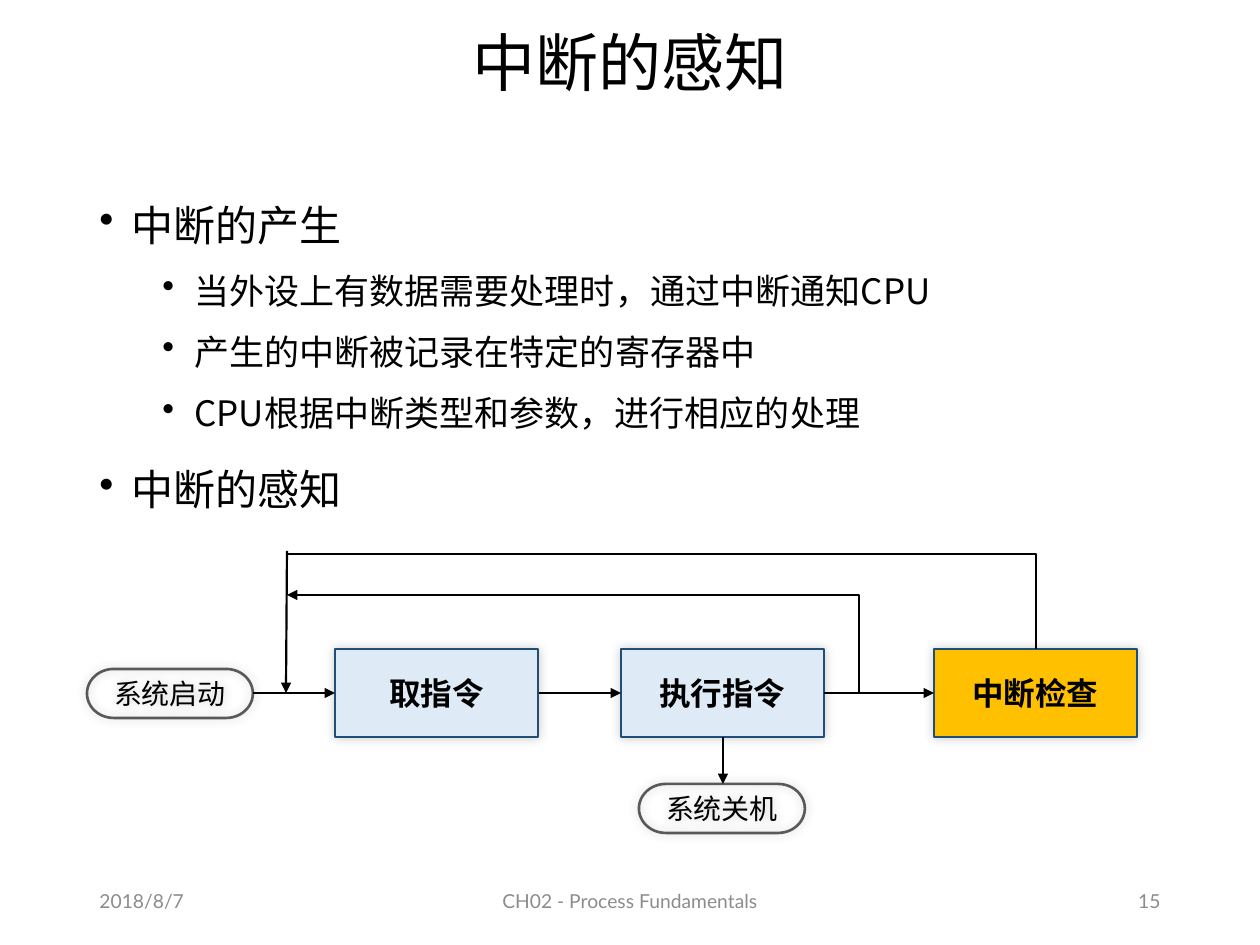
import pptx
import pptx.util
import pptx.dml.color
import pptx.enum.shapes
import pptx.enum.text
import pptx.oxml.ns
from dataclasses import dataclass
from lxml import etree

EMU_PER_PX = 914400 / 126
SHAPE = pptx.enum.shapes.MSO_SHAPE
CONNECTOR = pptx.enum.shapes.MSO_CONNECTOR
ALIGN = pptx.enum.text.PP_ALIGN
ANCHOR = pptx.enum.text.MSO_ANCHOR
qn = pptx.oxml.ns.qn


@dataclass(frozen=True)
class Theme:
    cjk: str = "Noto Sans CJK SC"
    latin: str = "Lato"
    ink: str = "000000"
    muted: str = "8C8C8C"
    outline: str = "595959"
    border: str = "1F4E79"
    step: str = "DEEBF7"
    check: str = "FFC000"
    title_size: int = 36
    topic_size: int = 24
    detail_size: int = 20
    step_size: int = 18
    end_size: int = 16
    footer_size: int = 11


def px(length):
    return pptx.util.Emu(round(length * EMU_PER_PX))


def rgb(code):
    return pptx.dml.color.RGBColor.from_string(code)


def child(parent, tag, **attributes):
    return etree.SubElement(parent, qn(tag), **attributes)


class SlideBuilder:
    def __init__(self, slide, theme):
        self.slide = slide
        self.theme = theme

    def style(self, paragraph, size, font=None, color=None, bold=False, align=ALIGN.LEFT):
        font = font or self.theme.cjk
        paragraph.alignment = align
        for run in paragraph.runs:
            run.font.size = pptx.util.Pt(size)
            run.font.bold = bold
            run.font.color.rgb = rgb(color or self.theme.ink)
            run.font.name = font
            child(run.font._element, "a:ea", typeface=font)

    def title(self, text, left, top, width, height):
        heading = self.slide.shapes.title
        heading.left, heading.top = px(left), px(top)
        heading.width, heading.height = px(width), px(height)
        frame = heading.text_frame
        frame.text = text
        frame.vertical_anchor = ANCHOR.MIDDLE
        frame.paragraphs[0].line_spacing = 0.9
        self.style(frame.paragraphs[0], self.theme.title_size, align=ALIGN.CENTER)

    def text_box(self, left, top, width, height):
        frame = self.slide.shapes.add_textbox(
            px(left), px(top), px(width), px(height)).text_frame
        frame.word_wrap = True
        return frame

    def outline(self, items, left, top, width, height):
        frame = self.text_box(left, top, width, height)
        for index, (level, text) in enumerate(items):
            paragraph = frame.add_paragraph() if index else frame.paragraphs[0]
            paragraph.text = text
            paragraph.level = level
            properties = paragraph._p.get_or_add_pPr()
            properties.set("marL", str(px(95 if level else 32)))
            properties.set("indent", str(px(-32)))
            child(properties, "a:buChar", char="•")
            paragraph.line_spacing = 1.25
            if index:
                paragraph.space_before = pptx.util.Pt(5 if level else 10)
            self.style(paragraph, self.theme.detail_size if level else self.theme.topic_size)

    def footer(self, text, left, width, align):
        frame = self.text_box(left, 876, width, 50)
        frame.vertical_anchor = ANCHOR.MIDDLE
        frame.text = text
        self.style(frame.paragraphs[0], self.theme.footer_size,
                   self.theme.latin, self.theme.muted, align=align)

    def node(self, kind, text, box, border, size, fill=None, bold=False):
        node = self.slide.shapes.add_shape(kind, *map(px, box))
        if fill:
            node.fill.solid()
            node.fill.fore_color.rgb = rgb(fill)
        else:
            node.fill.background()
        node.line.color.rgb = rgb(border)
        node.line.width = pptx.util.Pt(1.5)
        # Soft shadow
        node.shadow.inherit = False
        effects = node._element.spPr.find(qn("a:effectLst"))
        shadow = child(effects, "a:outerShdw", blurRad=str(pptx.util.Pt(6)), dist="0",
                       dir="18900000", algn="bl", rotWithShape="0")
        child(child(shadow, "a:srgbClr", val=self.theme.ink), "a:alpha", val="20000")
        frame = node.text_frame
        frame.text = text
        frame.word_wrap = False
        frame.vertical_anchor = ANCHOR.MIDDLE
        self.style(frame.paragraphs[0], size, bold=bold, align=ALIGN.CENTER)

    def step(self, text, left, top, fill):
        self.node(SHAPE.FLOWCHART_PROCESS, text, (left, top, 203, 88),
                  self.theme.border, self.theme.step_size, fill, bold=True)

    def terminator(self, text, left, top):
        self.node(SHAPE.FLOWCHART_TERMINATOR, text, (left, top, 166, 49),
                  self.theme.outline, self.theme.end_size)

    def connector(self, start, end, arrow="a:tailEnd", bend=None, adjust=None):
        kind = CONNECTOR.ELBOW if bend else CONNECTOR.STRAIGHT
        link = self.slide.shapes.add_connector(kind, *map(px, start + end))
        link.line.color.rgb = rgb(self.theme.ink)
        link.line.width = pptx.util.Pt(1.25)
        properties = link._element.spPr
        if arrow:
            child(properties.find(qn("a:ln")), arrow, type="triangle")
        child(properties, "a:effectLst")
        if bend:
            geometry = properties.find(qn("a:prstGeom"))
            geometry.set("prst", bend)
            if adjust:
                child(geometry.find(qn("a:avLst")), "a:gd",
                      name="adj1", fmla=f"val {adjust}")


def main():
    deck = pptx.Presentation()
    deck.slide_width, deck.slide_height = px(1260), px(945)
    theme = Theme()
    page = SlideBuilder(deck.slides.add_slide(deck.slide_layouts[5]), theme)

    # Title and outline
    page.title("中断的感知", 87, 18, 1086, 96)
    page.outline([
        (0, "中断的产生"),
        (1, "当外设上有数据需要处理时，通过中断通知CPU"),
        (1, "产生的中断被记录在特定的寄存器中"),
        (1, "CPU根据中断类型和参数，进行相应的处理"),
        (0, "中断的感知"),
    ], 87, 181, 1086, 678)

    # Footer
    page.footer("2018/8/7", 87, 283, ALIGN.LEFT)
    page.footer("CH02 - Process Fundamentals", 417, 426, ALIGN.CENTER)
    page.footer("15", 890, 283, ALIGN.RIGHT)

    # Instruction cycle
    page.terminator("系统启动", 87, 669)
    page.terminator("系统关机", 639, 784)
    for text, left, fill in (("取指令", 335, theme.step),
                             ("执行指令", 621, theme.step),
                             ("中断检查", 934, theme.check)):
        page.step(text, left, 649, fill)

    # Forward flow
    axis = 693
    for start, end in ((253, 335), (539, 621), (824, 934)):
        page.connector((start, axis), (end, axis))
    page.connector((723, 737), (723, 784))

    # Loops back to the fetch step
    page.connector((287, 551), (286, axis))
    page.connector((287, 595), (857, axis), "a:headEnd", "bentConnector3", 100300)
    page.connector((286, 554), (1036, 649), None, "bentConnector2")

    deck.save("out.pptx")


if __name__ == "__main__":
    main()
